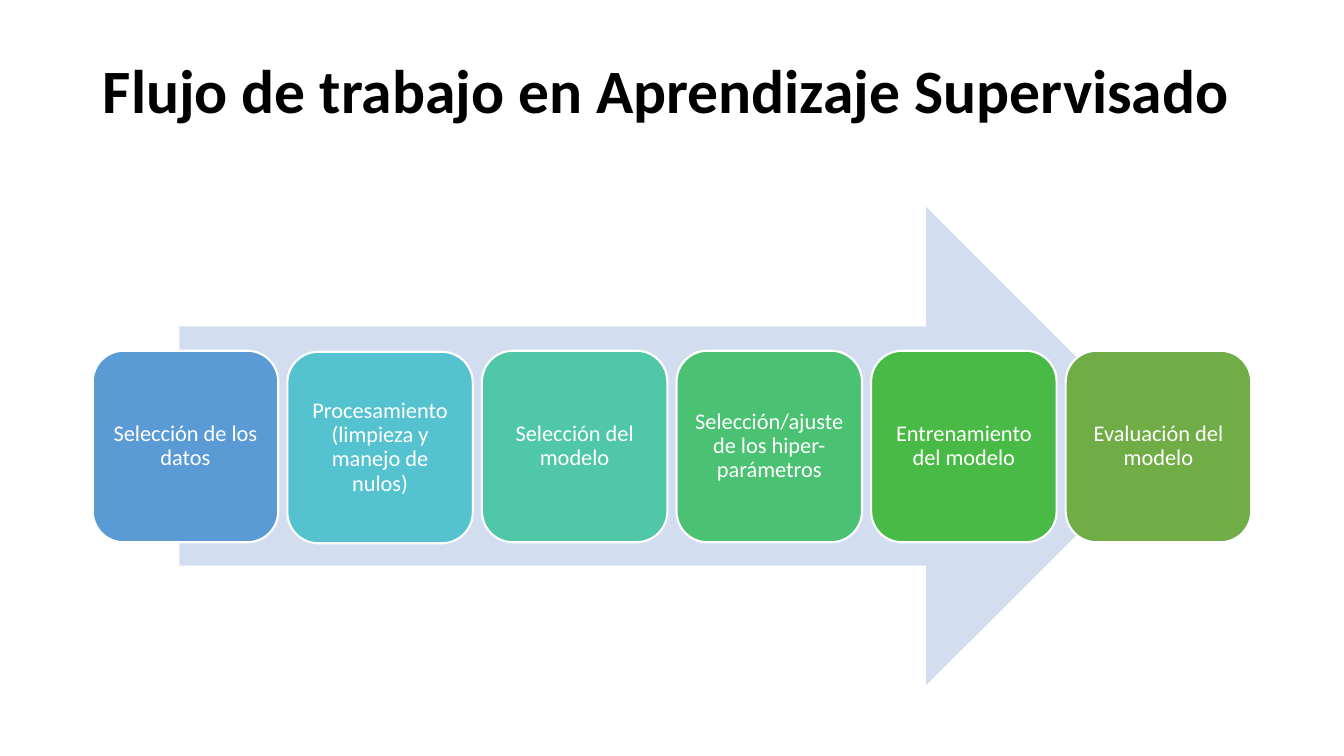
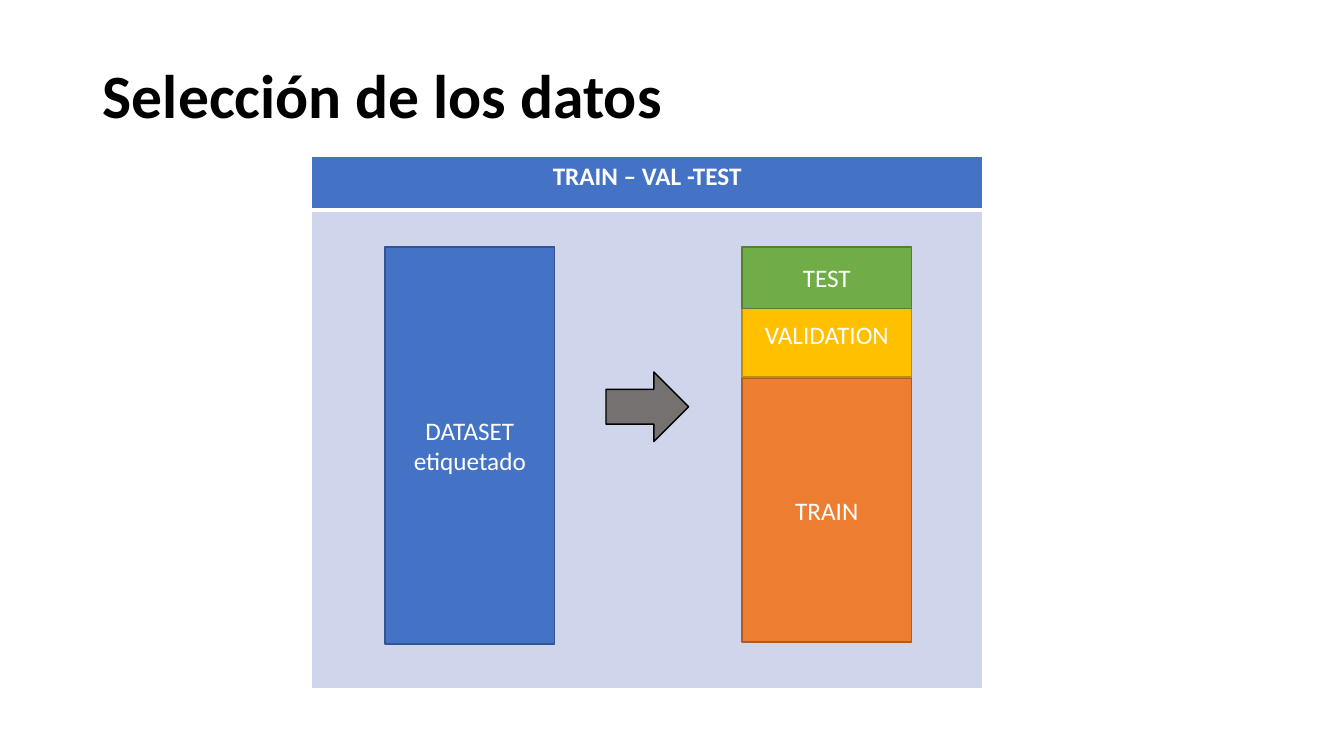
import pptx
import pptx.util
import pptx.dml.color
import pptx.enum.shapes
import pptx.enum.text
import pptx.oxml

RGB = pptx.dml.color.RGBColor
KIND = pptx.enum.shapes.MSO_SHAPE
ALIGN = pptx.enum.text.PP_ALIGN
MID = pptx.enum.text.MSO_ANCHOR.MIDDLE
Pt = pptx.util.Pt
PX = 9144  # EMU in one px, 100 px to the inch

BLACK = RGB(0x00, 0x00, 0x00)
WHITE = RGB(0xFF, 0xFF, 0xFF)
BLUE = RGB(0x44, 0x72, 0xC4)
NAVY = RGB(0x32, 0x54, 0x91)
GREEN = RGB(0x70, 0xAD, 0x47)
MOSS = RGB(0x53, 0x80, 0x35)
GOLD = RGB(0xFF, 0xC0, 0x00)
OCHRE = RGB(0xBD, 0x8E, 0x00)
RUST = RGB(0xED, 0x7D, 0x31)
BROWN = RGB(0xAF, 0x5C, 0x24)
GREY = RGB(0x76, 0x71, 0x71)
PALE = RGB(0xD2, 0xDE, 0xEF)
MIST = RGB(0xCF, 0xD5, 0xEA)
SKY = RGB(0x5B, 0x9B, 0xD5)
CYAN = RGB(0x55, 0xC3, 0xCF)
TEAL = RGB(0x50, 0xC8, 0xA7)
JADE = RGB(0x4B, 0xC1, 0x74)
LEAF = RGB(0x4A, 0xBA, 0x46)

TITLE = {"size": Pt(44), "bold": True, "name": "Calibri"}
HEAD = {"size": Pt(18), "bold": True, "name": "Calibri"}
LABEL = {"size": Pt(18), "bold": False, "name": "Calibri"}
STEP = {"size": Pt(16), "bold": False, "name": "Calibri"}
INSET = 7 * PX
TIGHT = {"margin_left": INSET, "margin_right": INSET,
         "margin_top": INSET, "margin_bottom": INSET}


def write(frame, text, font, color, align, space=1.0):
    """Fill a text frame, one paragraph a line."""
    frame.text = text
    for para in frame.paragraphs:
        para.alignment = align
        para.line_spacing = space
        for key, val in font.items():
            setattr(para.font, key, val)
        para.font.color.rgb = color


def draw(slide, kind, box, fill, line=None, width=1):
    """Add a flat preset shape; box is left, top, width, height in px."""
    shape = slide.shapes.add_shape(kind, *[n * PX for n in box])
    shape.shadow.inherit = False
    shape.fill.solid()
    shape.fill.fore_color.rgb = fill
    if line is None:
        shape.line.fill.background()
    else:
        shape.line.color.rgb = line
        shape.line.width = Pt(width)
    shape.text_frame.word_wrap = True
    shape.text_frame.vertical_anchor = MID
    return shape


deck = pptx.Presentation()
deck.slide_width, deck.slide_height = 1333 * PX, 750 * PX

# Both slides with their titles
pages = []
for text, top, high in [("Flujo de trabajo en Aprendizaje Supervisado", 20, 145),
                        ("Selección de los datos", 40, 115)]:
    slide = deck.slides.add_slide(deck.slide_layouts[5])
    title = slide.shapes.title
    spot = {"left": 92 * PX, "top": top * PX, "width": 1150 * PX, "height": high * PX}
    for key, val in spot.items():
        setattr(title, key, val)
    title.text_frame.auto_size = pptx.enum.text.MSO_AUTO_SIZE.NONE
    title.text_frame.vertical_anchor = MID
    write(title.text_frame, text, TITLE, BLACK, ALIGN.LEFT, 0.9)
    pages.append(slide)
flow, split = pages

# Slide 1: six steps on a wide arrow
draw(flow, KIND.RIGHT_ARROW, (178, 205, 978, 475), PALE)
steps = [
    ("Selección de los datos", SKY, 348),
    ("Procesamiento (limpieza y manejo de nulos)", CYAN, 349),
    ("Selección del modelo", TEAL, 348),
    ("Selección/ajuste de los hiper-parámetros", JADE, 348),
    ("Entrenamiento del modelo", LEAF, 348),
    ("Evaluación del modelo", GREEN, 348),
]
for i, (text, fill, top) in enumerate(steps):
    card = draw(flow, KIND.ROUNDED_RECTANGLE, (92 + 193 * i, top, 184, 190),
                fill, WHITE, 1.5)
    for key, val in TIGHT.items():
        setattr(card.text_frame, key, val)
    write(card.text_frame, text, STEP, WHITE, ALIGN.CENTER, 0.9)

# Slide 2: table as a frame
rows = [("TRAIN – VAL -TEST", 53, BLUE, 1, 3), ("", 475, MIST, 3, 1)]
box = [n * PX for n in (309, 155, 666, 528)]
table = split.shapes.add_table(len(rows), 1, *box).table
for i, (text, high, fill, above, below) in enumerate(rows):
    table.rows[i].height = high * PX
    cell = table.cell(i, 0)
    cell.fill.solid()
    cell.fill.fore_color.rgb = fill
    if text:
        write(cell.text_frame, text, HEAD, WHITE, ALIGN.CENTER)
    # Cell borders go ahead of the fill
    props = cell._tc.get_or_add_tcPr()
    sides = [("lnL", 1), ("lnR", 1), ("lnT", above), ("lnB", below)]
    for spot, (side, width) in enumerate(sides):
        props.insert(spot, pptx.oxml.parse_xml(
            f'<a:{side} xmlns:a="http://schemas.openxmlformats.org/drawingml/2006/main"'
            f' w="{Pt(width)}"><a:solidFill><a:srgbClr val="{WHITE}"/></a:solidFill>'
            f'</a:{side}>'))

# Slide 2: the data set and its three parts
draw(split, KIND.RIGHT_ARROW, (601, 369, 82, 69), GREY, BLACK)
blocks = [
    ("DATASET\netiquetado", (382, 245, 168, 394), BLUE, NAVY),
    ("TRAIN", (736, 375, 168, 262), RUST, BROWN),
    ("VALIDATION", (736, 290, 168, 84), GOLD, OCHRE),
    ("TEST", (736, 245, 168, 61), GREEN, MOSS),
]
for text, box, fill, line in blocks:
    block = draw(split, KIND.RECTANGLE, box, fill, line)
    write(block.text_frame, text, LABEL, WHITE, ALIGN.CENTER)

deck.save("out.pptx")
